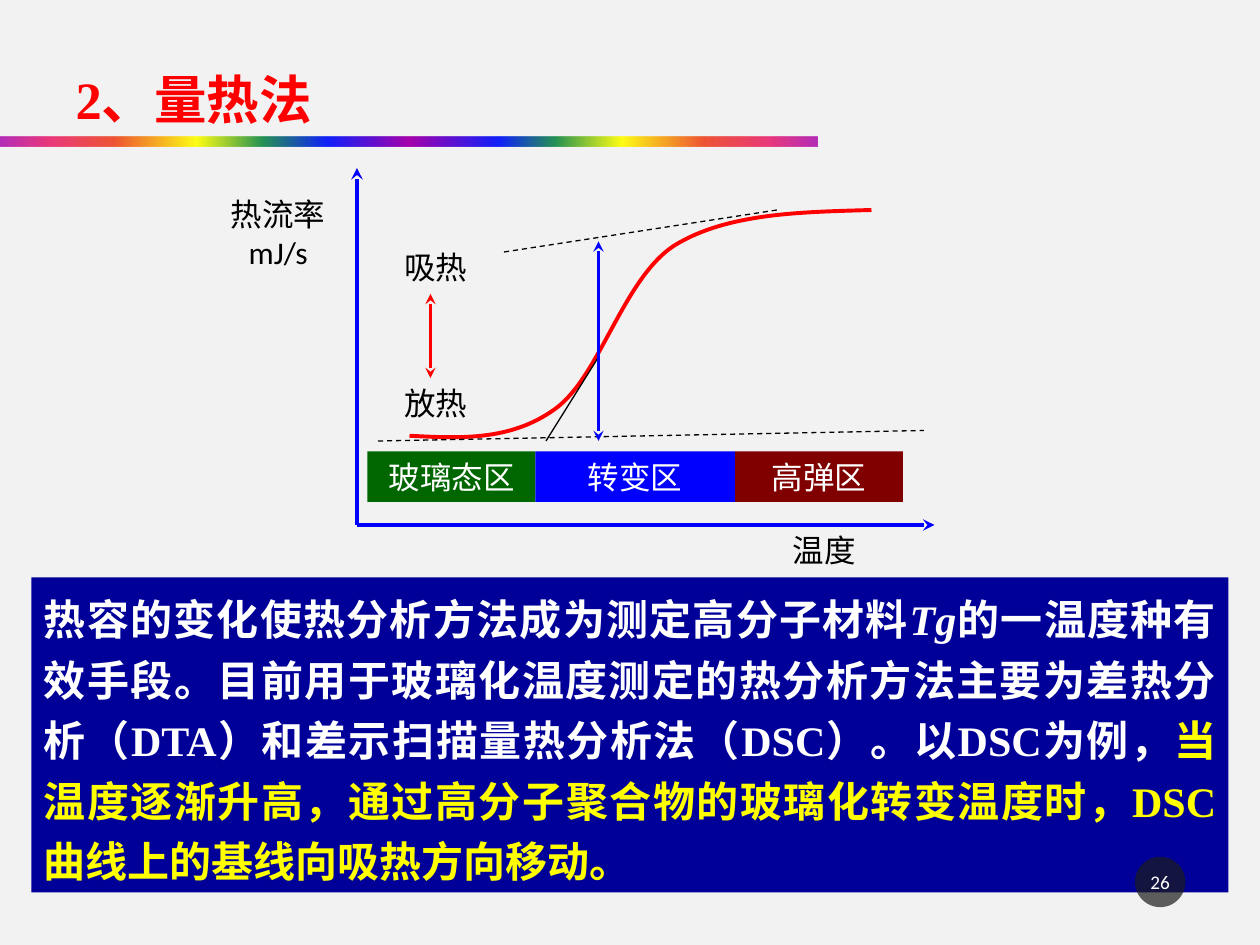
from dataclasses import dataclass

from lxml import etree
from pptx import Presentation
from pptx.dml.color import RGBColor
from pptx.enum.dml import MSO_LINE
from pptx.enum.shapes import MSO_CONNECTOR, MSO_SHAPE
from pptx.enum.text import MSO_ANCHOR, PP_ALIGN
from pptx.oxml.ns import qn
from pptx.util import Inches, Pt

STRAIGHT = MSO_CONNECTOR.STRAIGHT
RECTANGLE, OVAL = MSO_SHAPE.RECTANGLE, MSO_SHAPE.OVAL
DASH = MSO_LINE.DASH
LEFT, CENTER, JUSTIFY = PP_ALIGN.LEFT, PP_ALIGN.CENTER, PP_ALIGN.JUSTIFY
TOP, MIDDLE = MSO_ANCHOR.TOP, MSO_ANCHOR.MIDDLE

CELLS_PER_INCH = 12
ROW_HEIGHT = 4.8
LABEL_WIDTH = 13
ZONE_LEFT, ZONE_TOP = 35, 43
SERIF, SANS = "Times New Roman", "Calibri"
BLACK, WHITE, RED, BLUE, YELLOW = "000000", "FFFFFF", "FF0000", "0000FF", "FFFF00"

RAINBOW = [
    (0, "A603AB", 82), (6, "E81766", 84), (14, "EE3F17", 87), (24, YELLOW, 91),
    (32, "1A8D48", 94), (40, "0819FB", 96), (50, "A603AB", 100),
    (61, "0819FB", 96), (68, "1A8D48", 94), (76, YELLOW, 91),
    (86, "EE3F17", 87), (94, "E81766", 84), (100, "A603AB", 82),
]
CURVE = [
    (39, 41.5), (43.8, 41.75), (48.6, 42), (52.8, 39), (57.1, 36),
    (59.3, 26.6), (64.2, 23.4), (69.2, 20.3), (76.2, 20.2), (83, 20),
]


@dataclass
class Line:
    """A straight line between two grid points."""
    start: tuple
    end: tuple
    color: str
    width: float
    arrows: tuple = ()
    dashed: bool = False


@dataclass
class Label:
    """A centred label of the diagram."""
    text: str
    column: float
    row: float
    height: float = ROW_HEIGHT


@dataclass
class Zone:
    """A coloured temperature range below the curve."""
    text: str
    width: float
    color: str


LINES = [
    Line((41, 28), (41, 36), RED, 1.75, ("headEnd", "tailEnd")),
    Line((36, 42), (88, 41), BLACK, 0.75, dashed=True),
    Line((48, 24), (74, 20), BLACK, 0.75, dashed=True),
    Line((34, 50), (89, 50), BLUE, 2.25, ("tailEnd",)),
    Line((34, 50), (34, 16), BLUE, 2.25, ("tailEnd",)),
    Line((57, 34), (52, 42), BLACK, 0.75),
    Line((57, 23), (57, 42), BLUE, 1.75, ("headEnd", "tailEnd")),
]
LABELS = [
    Label("吸热", 35, 23), Label("放热", 35, 36),
    Label("热流率\nmJ/s", 20, 18, 8.4), Label("温度", 72, 50),
]
ZONES = [Zone("玻璃态区", 16, "006600"), Zone("转变区", 19, BLUE), Zone("高弹区", 16, "800000")]
EXPLANATION = [
    ("热容的变化使热分析方法成为测定高分子材料", WHITE, False),
    ("Tg", WHITE, True),
    ("的一温度种有效手段。目前用于玻璃化温度测定的热分析方法主要为差热分析"
     "（DTA）和差示扫描量热分析法（DSC）。以DSC为例，", WHITE, False),
    ("当温度逐渐升高，通过高分子聚合物的玻璃化转变温度时，DSC曲线上的基线向吸热方向移动。", YELLOW, False),
]


def cells(count: float) -> int:
    """Convert grid cells to a length."""
    return Inches(count / CELLS_PER_INCH)


def rgb(color: str) -> RGBColor:
    """Convert a hex string to a colour."""
    return RGBColor.from_string(color)


def format_text(text_frame, size, font, color, alignment=CENTER, bold=False, spacing=None, anchor=TOP):
    """Format all text of a frame alike."""
    text_frame.word_wrap = True
    text_frame.vertical_anchor = anchor
    for paragraph in text_frame.paragraphs:
        paragraph.alignment = alignment
        paragraph.line_spacing = spacing
        for run in paragraph.runs:
            run.font.size, run.font.name, run.font.bold = Pt(size), font, bold
            run.font.color.rgb = rgb(color)


def add_block(shapes, kind, box: tuple, color: str):
    """Add a filled shape without outline, placed on the grid."""
    shape = shapes.add_shape(kind, *map(cells, box))
    shape.shadow.inherit = False
    shape.fill.solid()
    shape.fill.fore_color.rgb = rgb(color)
    shape.line.fill.background()
    return shape


def add_alpha(color_element, percent: float) -> None:
    """Set the opacity of a colour element."""
    etree.SubElement(color_element, qn("a:alpha"), val=str(percent * 1000))


def add_rainbow_bar(shapes) -> None:
    """Draw the rainbow rule under the title."""
    bar = add_block(shapes, RECTANGLE, (0, 13, 77.9, 1), WHITE)
    bar.fill.gradient()
    bar.fill.gradient_angle = 0
    stops = bar._element.spPr.find(f".//{qn('a:gsLst')}")
    for stop in list(stops):
        stops.remove(stop)
    for position, color, opacity in RAINBOW:
        stop = etree.SubElement(stops, qn("a:gs"), pos=str(position * 1000))
        add_alpha(etree.SubElement(stop, qn("a:srgbClr"), val=color), opacity)


def add_line(shapes, line: Line) -> None:
    """Draw a line with optional dashes and arrowheads."""
    connector = shapes.add_connector(STRAIGHT, *map(cells, line.start + line.end))
    connector.line.color.rgb = rgb(line.color)
    connector.line.width = Pt(line.width)
    if line.dashed:
        connector.line.dash_style = DASH
    for arrow in line.arrows:
        etree.SubElement(connector.line._get_or_add_ln(), qn(f"a:{arrow}"), type="stealth")
    etree.SubElement(connector._element.spPr, qn("a:effectLst"))


def add_curve(shapes) -> None:
    """Draw the heat flow curve as cubic Bézier segments."""
    points = [(cells(column), cells(row)) for column, row in CURVE]
    builder = shapes.build_freeform(*points[0])
    builder.add_line_segments(points[1:], close=False)
    curve = builder.convert_to_shape()
    curve.shadow.inherit = False
    curve.fill.background()
    curve.line.color.rgb = rgb(RED)
    curve.line.width = Pt(2.25)
    outline = curve._element.spPr.find(f".//{qn('a:path')}")
    segments = outline.findall(qn("a:lnTo"))
    for first in range(0, len(segments), 3):
        bezier = etree.SubElement(outline, qn("a:cubicBezTo"))
        for segment in segments[first:first + 3]:
            bezier.append(segment[0])
            outline.remove(segment)


def add_label(shapes, label: Label) -> None:
    """Write a label of the diagram."""
    box = (label.column, label.row, LABEL_WIDTH, label.height)
    text_frame = shapes.add_textbox(*map(cells, box)).text_frame
    text_frame.text = label.text
    format_text(text_frame, 18, SANS, BLACK)


def add_diagram(shapes) -> None:
    """Draw the curve, lines, labels and zones."""
    add_curve(shapes)
    for line in LINES:
        add_line(shapes, line)
    for label in LABELS:
        add_label(shapes, label)
    column = ZONE_LEFT
    for zone in ZONES:
        block = add_block(shapes, RECTANGLE, (column, ZONE_TOP, zone.width, ROW_HEIGHT), zone.color)
        block.text_frame.text = zone.text
        format_text(block.text_frame, 18, SANS, WHITE)
        column += zone.width


def add_title(title) -> None:
    """Place and format the slide title."""
    title.left, title.top, title.width, title.height = map(cells, (6, 4, 27, 9))
    title.text_frame.text = "2、量热法"
    format_text(title.text_frame, 30, SERIF, RED, LEFT, True, 1.3)
    title.text_frame.word_wrap = False


def add_explanation(shapes) -> None:
    """Write the explanation in its blue panel."""
    panel = add_block(shapes, RECTANGLE, (3, 55, 114, 30), "000099")
    paragraph = panel.text_frame.paragraphs[0]
    for text, color, italic in EXPLANATION:
        paragraph.add_run().text = text
    format_text(panel.text_frame, 24, SERIF, WHITE, JUSTIFY, True, 1.2)
    for run, (text, color, italic) in zip(paragraph.runs, EXPLANATION):
        run.font.color.rgb = rgb(color)
        run.font.italic = italic


def add_page_badge(shapes) -> None:
    """Draw the round page number."""
    badge = add_block(shapes, OVAL, (108.1, 81.6, 4.8, 4.8), "1D1D1D")
    add_alpha(badge._element.spPr.find(f"{qn('a:solidFill')}/{qn('a:srgbClr')}"), 70)
    text_frame = badge.text_frame
    text_frame.text = "26"
    text_frame.margin_left = text_frame.margin_right = Inches(0.02)
    format_text(text_frame, 11, SANS, WHITE, anchor=MIDDLE)


def main() -> None:
    """Build and save the slide."""
    presentation = Presentation()
    presentation.slide_width, presentation.slide_height = Inches(10), Inches(7.5)
    slide = presentation.slides.add_slide(presentation.slide_layouts[5])
    slide.background.fill.solid()
    slide.background.fill.fore_color.rgb = rgb("F2F2F2")
    add_rainbow_bar(slide.shapes)
    add_explanation(slide.shapes)
    add_title(slide.shapes.title)
    add_diagram(slide.shapes.add_group_shape().shapes)
    add_page_badge(slide.shapes)
    presentation.save("out.pptx")


if __name__ == "__main__":
    main()
